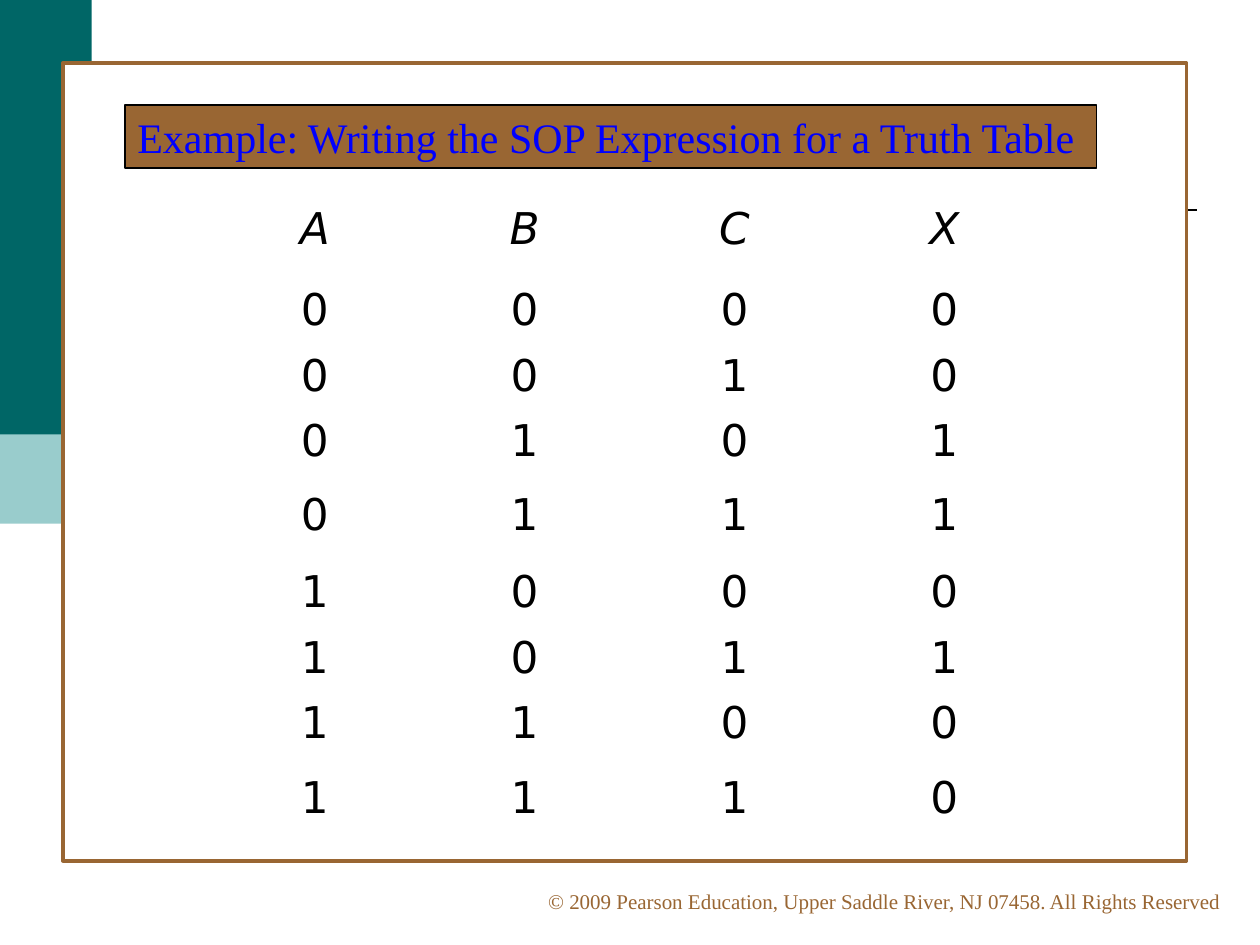
"""Build a slide with a truth table for writing an SOP expression."""
from dataclasses import dataclass
from typing import Optional

from lxml import etree
from pptx import Presentation
from pptx import util as u
from pptx.dml.color import RGBColor
from pptx.enum import shapes, text
from pptx.oxml import ns

TEAL = RGBColor(0x00, 0x66, 0x66)
PALE = RGBColor(0x99, 0xCC, 0xCC)
BROWN = RGBColor(0x99, 0x66, 0x33)
BLUE = RGBColor(0x00, 0x00, 0xFF)
BLACK = RGBColor(0x00, 0x00, 0x00)
WHITE = RGBColor(0xFF, 0xFF, 0xFF)
SERIF = "Times New Roman"
SANS = "DejaVu Sans"
PLAIN = "{2D5ABB26-0587-4C30-8999-92F81FD0307C}"


@dataclass
class Box:
    left: float
    top: float
    width: float
    height: float
    fill: RGBColor
    edge: Optional[RGBColor] = None
    weight: float = 0


@dataclass
class Style:
    face: str
    size: float
    tint: RGBColor
    slant: bool = False


BANDS = [
    Box(-8.99, 1.9, 11.42, 8.66, PALE),
    Box(-6.73, 0, 8.58, 8.76, TEAL),
]
FRAME = Box(1.27, 1.27, 22.65, 16.08, WHITE, BROWN, 2.25)
TITLE = Box(2.52, 2.12, 19.59, 1.27, BROWN, BLACK, 0.75)
HEADS = "ABCX"
BITS = ["0000", "0010", "0101", "0111", "1000", "1011", "1100", "1110"]
TALLS = [1.63, 1.32, 1.32, 1.5, 1.55, 1.32, 1.32, 1.5, 1.5]
WIDE = 4.23


def add_run(para, words: str, style: Style) -> None:
    run = para.add_run()
    run.text = words
    font = run.font
    font.name, font.size = style.face, u.Pt(style.size)
    font.italic = style.slant
    font.color.rgb = style.tint


def draw_box(slide, box: Box):
    shape = slide.shapes.add_shape(
        shapes.MSO_SHAPE.RECTANGLE,
        u.Cm(box.left), u.Cm(box.top), u.Cm(box.width), u.Cm(box.height))
    shape.shadow.inherit = False
    shape.fill.solid()
    shape.fill.fore_color.rgb = box.fill
    if box.edge is None:
        shape.line.fill.background()
    else:
        shape.line.color.rgb = box.edge
        shape.line.width = u.Pt(box.weight)
    return shape


def draw_rule(slide) -> None:
    rule = slide.shapes.add_connector(
        shapes.MSO_CONNECTOR.STRAIGHT,
        u.Cm(3.81), u.Cm(4.23), u.Cm(24.13), u.Cm(4.23))
    rule.line.color.rgb = BLACK
    rule.line.width = u.Pt(1)
    etree.SubElement(rule._element.spPr, ns.qn("a:effectLst"))


def draw_title(slide) -> None:
    frame = draw_box(slide, TITLE).text_frame
    frame.word_wrap = False
    frame.vertical_anchor = text.MSO_ANCHOR.TOP
    para = frame.paragraphs[0]
    para.alignment = text.PP_ALIGN.LEFT
    add_run(para, "Example: Writing the SOP Expression for a Truth Table",
            Style(SERIF, 24, BLUE))


def draw_foot(slide) -> None:
    frame = slide.shapes.add_textbox(
        u.Cm(10.8), u.Cm(17.78), u.Cm(14.17), u.Cm(0.76)).text_frame
    frame.word_wrap = True
    add_run(frame.paragraphs[0],
            "© 2009 Pearson Education, Upper Saddle River, NJ 07458. "
            "All Rights Reserved", Style(SERIF, 12, BROWN))


def draw_table(slide) -> None:
    rows = [HEADS, *BITS]
    table = slide.shapes.add_table(
        len(rows), len(HEADS), u.Cm(4.23), u.Cm(4.02),
        u.Cm(WIDE * len(HEADS)), u.Cm(sum(TALLS))).table
    table.first_row = table.horz_banding = False
    table._tbl.tblPr.find(ns.qn("a:tableStyleId")).text = PLAIN
    for col in table.columns:
        col.width = u.Cm(WIDE)
    for y, (row, tall) in enumerate(zip(rows, TALLS)):
        table.rows[y].height = u.Cm(tall)
        for x, mark in enumerate(row):
            cell = table.cell(y, x)
            cell.fill.background()
            para = cell.text_frame.paragraphs[0]
            para.alignment = text.PP_ALIGN.CENTER
            para.line_spacing = 0.96
            add_run(para, mark, Style(SANS, 25, BLACK, y == 0))


def main() -> None:
    deck = Presentation()
    deck.slide_width, deck.slide_height = u.Cm(25.4), u.Cm(19.05)
    slide = deck.slides.add_slide(deck.slide_layouts[6])
    for band in BANDS:
        draw_box(slide, band)
    draw_rule(slide)
    draw_foot(slide)
    draw_box(slide, FRAME)
    draw_title(slide)
    draw_table(slide)
    deck.save("out.pptx")


if __name__ == "__main__":
    main()
